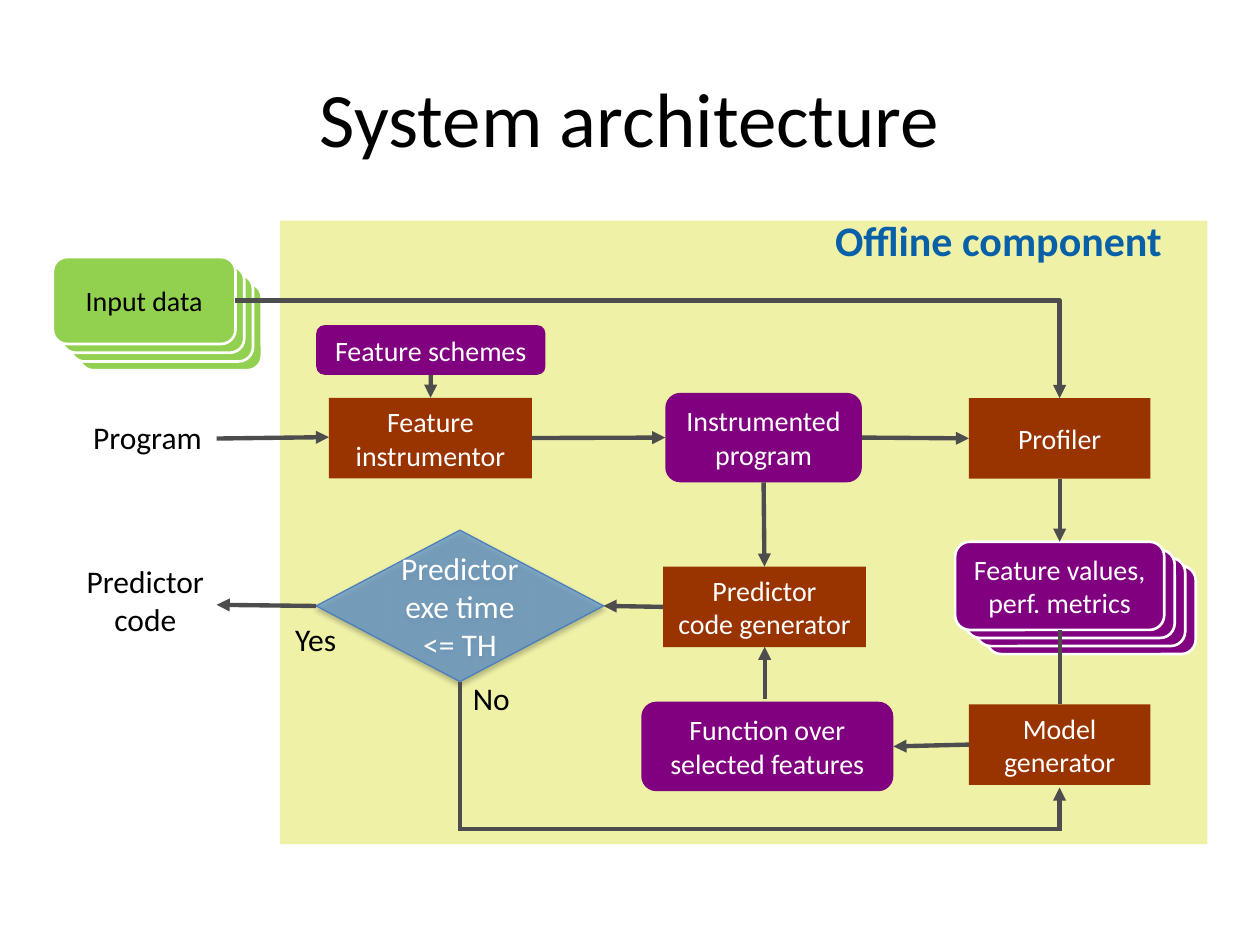
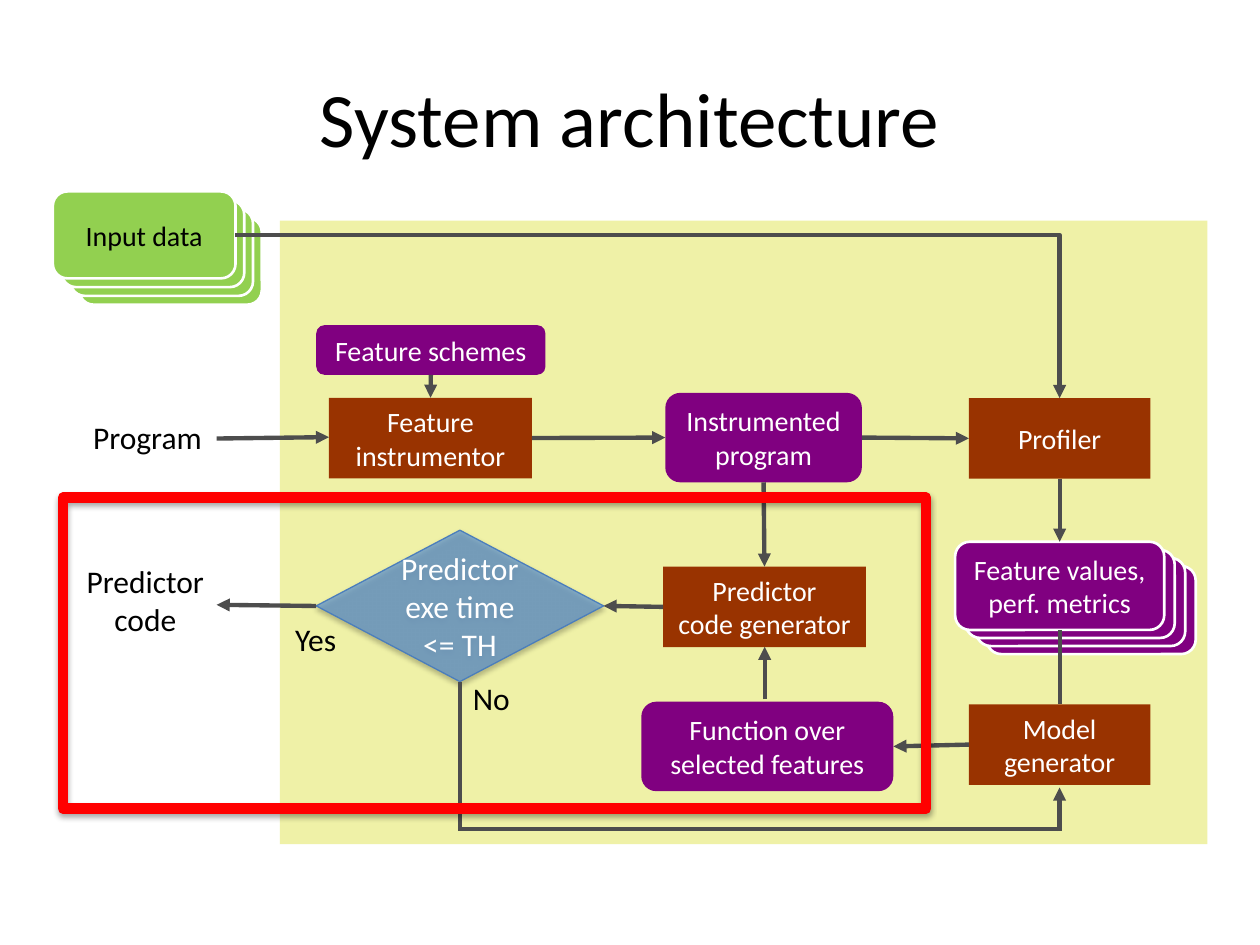
from dataclasses import dataclass, replace

from lxml import etree
from pptx import Presentation
from pptx.dml.color import RGBColor
from pptx.enum.shapes import MSO_CONNECTOR, MSO_SHAPE
from pptx.enum.text import MSO_ANCHOR, PP_ALIGN
from pptx.oxml.ns import qn
from pptx.shapes.autoshape import Shape
from pptx.shapes.connector import Connector
from pptx.slide import Slide
from pptx.util import Pt

RECT = MSO_SHAPE.RECTANGLE
ROUNDED = MSO_SHAPE.ROUNDED_RECTANGLE
DECISION = MSO_SHAPE.FLOWCHART_DECISION
STRAIGHT = MSO_CONNECTOR.STRAIGHT
ELBOW = MSO_CONNECTOR.ELBOW
MIDDLE = MSO_ANCHOR.MIDDLE
TOP_ANCHOR = MSO_ANCHOR.TOP
CENTER = PP_ALIGN.CENTER

BLACK = RGBColor(0x00, 0x00, 0x00)
WHITE = RGBColor(0xFF, 0xFF, 0xFF)
CREAM = RGBColor(0xEF, 0xF1, 0xA7)
BROWN = RGBColor(0x99, 0x33, 0x00)
PURPLE = RGBColor(0x80, 0x00, 0x80)
GREEN = RGBColor(0x92, 0xD0, 0x50)
BLUE = RGBColor(0x55, 0x8E, 0xD5)
BLUE_EDGE = RGBColor(0x4B, 0x7E, 0xBC)
HEADING_BLUE = RGBColor(0x08, 0x60, 0xA8)
GREY = RGBColor(0x4D, 0x4D, 0x4D)
RED = RGBColor(0xFF, 0x00, 0x00)

FONT = "Calibri"
TITLE_ONLY = 5
TOP, LEFT, BOTTOM, RIGHT = range(4)  # connection sites of a shape


@dataclass(frozen=True)
class Box:
    name: str
    text: str
    left: float
    top: float
    width: float
    height: float
    fill: RGBColor | None = PURPLE
    kind: MSO_SHAPE = ROUNDED
    line: RGBColor | None = None
    line_width: float = 1.5
    color: RGBColor = WHITE
    size: float = 16
    wrap: bool = False
    copies: int = 0  # cards stacked behind the box
    step: tuple[float, float] = (0, 0)
    shadow: bool = False
    opacity: int = 100


@dataclass(frozen=True)
class Label:
    text: str
    left: float
    top: float
    width: float
    height: float
    size: float = 18
    color: RGBColor = BLACK
    bold: bool = False


@dataclass(frozen=True)
class Link:
    """A connector glued to two boxes."""
    start: str
    start_site: int
    end: str
    end_site: int
    arrow: bool = True
    kind: MSO_CONNECTOR = STRAIGHT


@dataclass(frozen=True)
class Line:
    """A connector between two free points."""
    start: tuple[float, float]
    end: tuple[float, float]
    arrow: bool = True


PANEL = Box("panel", "", 160, 126, 530, 356.4, CREAM, RECT)
INPUT = Box("input", "Input data", 30.2, 146.9, 104.4, 49.7, GREEN, line=WHITE,
            color=BLACK, wrap=True, copies=3, step=(5, 5))
FRAME = Box("frame", "", 36, 284.4, 493.2, 177.8, None, RECT, RED, 6, shadow=True)

BOXES = [
    Box("profiler", "Profiler", 553.7, 227.5, 103.7, 46, BROWN, RECT),
    Box("values", "Feature values,\nperf. metrics", 545.8, 309.6, 119.5, 50.4,
        line=WHITE, copies=3, step=(6, 4.6)),
    Box("model", "Model\ngenerator", 553.7, 402.5, 103.7, 46, BROWN, RECT),
    Box("function", "Function over\nselected features", 366.5, 401, 144, 51.1, wrap=True),
    Box("instrumentor", "Feature\ninstrumentor", 188, 227.3, 116, 46, BROWN, RECT),
    Box("instrumented", "Instrumented program", 380.2, 224.5, 112.3, 51.1, wrap=True),
    Box("schemes", "Feature schemes", 180.7, 185.8, 131, 28.4),
    Box("generator", "Predictor\ncode generator", 378.9, 323.8, 115.9, 46, BROWN, RECT),
    Box("decision", "Predictor exe time <= TH", 180.7, 303, 164.2, 86.5, BLUE, DECISION,
        BLUE_EDGE, 0.75, size=18, wrap=True, shadow=True, opacity=67),
]

LABELS = [
    Label("Program", 45.4, 235.4, 77.8, 28.8),
    Label("Predictor\ncode", 41, 317.5, 84.2, 51),
    Label("Yes", 160.6, 350.6, 39.6, 28.8),
    Label("No", 262.8, 384.5, 36, 28.8),
]
OFFLINE = Label("Offline component", 451.4, 118.8, 238.3, 36.7, 24, HEADING_BLUE, True)

LINKS = [
    Link("input", RIGHT, "profiler", TOP, kind=ELBOW),
    Link("schemes", BOTTOM, "instrumentor", TOP),
    Link("instrumentor", RIGHT, "instrumented", LEFT),
    Link("instrumented", RIGHT, "profiler", LEFT),
    Link("instrumented", BOTTOM, "generator", TOP),
    Link("profiler", BOTTOM, "values", TOP),
    Link("values", BOTTOM, "model", TOP, arrow=False),
    Link("model", LEFT, "function", RIGHT),
    Link("generator", LEFT, "decision", RIGHT),
]

LINES = [
    Line((123.8, 250.6), (188, 249.8)),
    Line((180.7, 346.3), (123.8, 345.6)),
    Line((437, 399.6), (437, 369.6)),
    Line((262.8, 389.5), (262.8, 475), arrow=False),
    Line((262.8, 473.8), (605.5, 473.8), arrow=False),
    Line((605.5, 475), (605.5, 450)),
]


def write(sp: Shape, text: str, size: float, color: RGBColor, wrap: bool,
          anchor: MSO_ANCHOR, bold: bool = False, before: float = 0) -> None:
    tf = sp.text_frame
    tf.word_wrap = wrap
    tf.vertical_anchor = anchor
    p = tf.paragraphs[0]
    p.text = text
    p.alignment = CENTER
    p.space_before = Pt(before)
    for r in p.runs:
        r.font.name = FONT
        r.font.size = Pt(size)
        r.font.bold = bold
        r.font.color.rgb = color


def add_shadow(sp: Shape) -> None:
    effects = sp.element.spPr.find(qn("a:effectLst"))
    outer = etree.SubElement(effects, qn("a:outerShdw"), blurRad=str(Pt(3.1)),
                             dist=str(Pt(1.8)), dir="5400000", rotWithShape="0")
    black = etree.SubElement(outer, qn("a:srgbClr"), val=str(BLACK))
    etree.SubElement(black, qn("a:alpha"), val="35000")


def add_card(slide: Slide, box: Box, shift: int = 0) -> Shape:
    """Draw the body of a box, shifted by a number of stack steps."""
    dx, dy = box.step
    sp = slide.shapes.add_shape(box.kind, Pt(box.left + shift * dx), Pt(box.top + shift * dy),
                                Pt(box.width), Pt(box.height))
    sp.shadow.inherit = False
    if box.fill is None:
        sp.fill.background()
    else:
        sp.fill.solid()
        sp.fill.fore_color.rgb = box.fill
    if box.opacity < 100:
        color = sp.element.spPr.find(qn("a:solidFill")).find(qn("a:srgbClr"))
        etree.SubElement(color, qn("a:alpha"), val=str(box.opacity * 1000))
    if box.line is None:
        sp.line.fill.background()
    else:
        sp.line.color.rgb = box.line
        sp.line.width = Pt(box.line_width)
    if box.shadow:
        add_shadow(sp)
    return sp


def add_box(slide: Slide, box: Box) -> Shape:
    for shift in range(box.copies, 0, -1):
        add_card(slide, box, shift)
    sp = add_card(slide, box)
    if box.text:
        write(sp, box.text, box.size, box.color, box.wrap, MIDDLE, before=8)
    return sp


def add_label(slide: Slide, label: Label) -> None:
    sp = slide.shapes.add_textbox(Pt(label.left), Pt(label.top), Pt(label.width), Pt(label.height))
    write(sp, label.text, label.size, label.color, label.bold, TOP_ANCHOR, label.bold)


def style_connector(c: Connector, arrow: bool) -> None:
    c.line.color.rgb = GREY
    c.line.width = Pt(2.5)
    sp_pr = c.element.spPr
    if arrow:
        etree.SubElement(sp_pr.find(qn("a:ln")), qn("a:tailEnd"), type="triangle")
    etree.SubElement(sp_pr, qn("a:effectLst"))


def add_link(slide: Slide, link: Link, shapes: dict[str, Shape]) -> None:
    c = slide.shapes.add_connector(link.kind, 0, 0, 0, 0)
    c.begin_connect(shapes[link.start], link.start_site)
    c.end_connect(shapes[link.end], link.end_site)
    if link.kind == ELBOW:  # a single bend
        c.element.spPr.find(qn("a:prstGeom")).set("prst", "bentConnector2")
    style_connector(c, link.arrow)


def add_line(slide: Slide, line: Line) -> None:
    c = slide.shapes.add_connector(STRAIGHT, *map(Pt, line.start + line.end))
    style_connector(c, line.arrow)


def add_architecture(prs: Presentation, input_box: Box) -> Slide:
    slide = prs.slides.add_slide(prs.slide_layouts[TITLE_ONLY])
    title = slide.shapes.title
    title.left, title.top, title.width, title.height = map(Pt, (36, 21.6, 648, 90))
    write(title, "System architecture", 44, BLACK, True, MIDDLE)
    shapes = {box.name: add_box(slide, box) for box in [PANEL, input_box, *BOXES]}
    for link in LINKS:
        add_link(slide, link, shapes)
    for line in LINES:
        add_line(slide, line)
    for label in LABELS:
        add_label(slide, label)
    return slide


def main() -> None:
    prs = Presentation()
    prs.slide_width, prs.slide_height = Pt(720), Pt(540)
    overview = add_architecture(prs, INPUT)
    add_label(overview, OFFLINE)
    focus = add_architecture(prs, replace(INPUT, top=109.4))
    add_box(focus, FRAME)
    prs.save("out.pptx")


if __name__ == "__main__":
    main()
